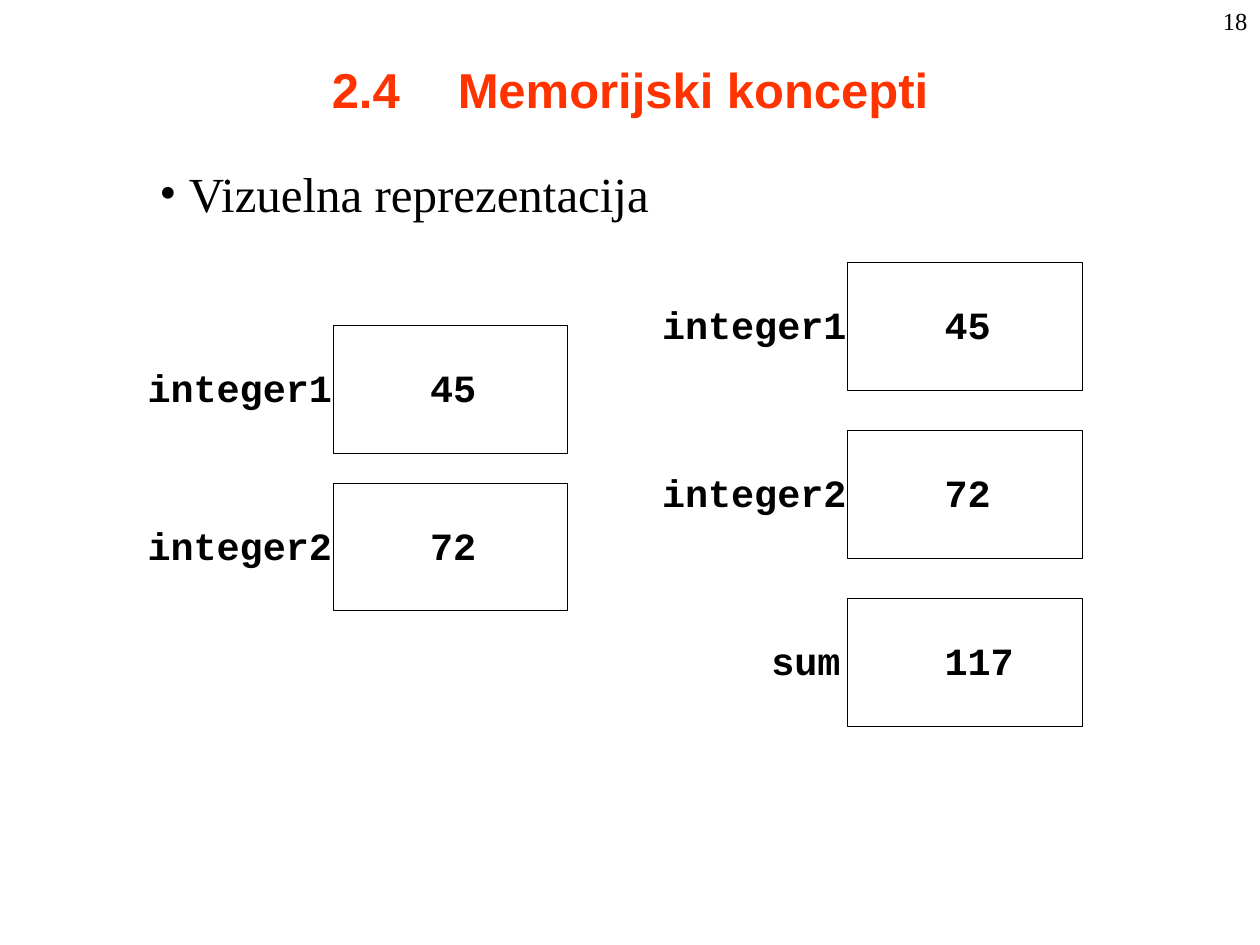
from lxml import etree
from pptx import Presentation
from pptx.dml.color import RGBColor
from pptx.enum.shapes import MSO_SHAPE
from pptx.enum.text import MSO_ANCHOR, MSO_AUTO_SIZE, PP_ALIGN
from pptx.oxml.ns import qn
from pptx.util import Pt

RECTANGLE = MSO_SHAPE.RECTANGLE
TOP, MIDDLE = MSO_ANCHOR.TOP, MSO_ANCHOR.MIDDLE
GROW, FIXED = MSO_AUTO_SIZE.SHAPE_TO_FIT_TEXT, MSO_AUTO_SIZE.NONE
LEFT, CENTER, RIGHT = PP_ALIGN.LEFT, PP_ALIGN.CENTER, PP_ALIGN.RIGHT

BLACK = RGBColor(0x00, 0x00, 0x00)
WHITE = RGBColor(0xFF, 0xFF, 0xFF)
ORANGE_RED = RGBColor(0xFF, 0x33, 0x00)

HEADING_FONT, BODY_FONT, CODE_FONT = "Arial", "Times New Roman", "Courier New"
CELL_WIDTH, CELL_HEIGHT = 134, 73
LABEL_OFFSET, LABEL_WIDTH = 106.2, 106.2
RIGHT_LABEL_GAP = 4.2
VALUE_OFFSET, TEXT_DROP, TEXT_HEIGHT = 55.3, 22, 26.5
DIGIT_WIDTH = 13.3


class MemorySlide:
    def __init__(self, presentation):
        self.slide = presentation.slides.add_slide(presentation.slide_layouts[6])

    def text(self, shapes, text, left, top, width, height, font, size,
             color=BLACK, bold=False, align=LEFT, anchor=TOP, margins=(7.2, 3.6),
             auto_size=FIXED, wrap=True, space_before=0):
        """Add a one-paragraph text box and return its paragraph."""
        box = shapes.add_textbox(Pt(left), Pt(top), Pt(width), Pt(height))
        frame = box.text_frame
        frame.margin_left = frame.margin_right = Pt(margins[0])
        frame.margin_top = frame.margin_bottom = Pt(margins[1])
        frame.word_wrap = wrap
        frame.auto_size = auto_size
        frame.vertical_anchor = anchor
        paragraph = frame.paragraphs[0]
        paragraph.alignment = align
        paragraph.space_before = Pt(space_before)
        run = paragraph.add_run()
        run.text = text
        run.font.name = font
        run.font.size = Pt(size)
        run.font.bold = bold
        run.font.color.rgb = color
        run.font._element.set("kern", "0")
        return paragraph

    def title(self, text):
        paragraph = self.text(self.slide.shapes, text, 54, 6, 612, 90, HEADING_FONT, 28,
                              ORANGE_RED, bold=True, align=CENTER, anchor=MIDDLE)
        tabs = etree.SubElement(paragraph._p.get_or_add_pPr(), qn("a:tabLst"))
        etree.SubElement(tabs, qn("a:tab"), pos=str(Pt(72)), algn="l")

    def bullet(self, text):
        paragraph = self.text(self.slide.shapes, text, 84, 90, 528, 41, BODY_FONT, 28,
                              auto_size=GROW, space_before=7)
        properties = paragraph._p.get_or_add_pPr()
        properties.set("marL", str(Pt(16.8)))
        properties.set("indent", str(-Pt(16.8)))
        color = etree.SubElement(properties, qn("a:buClr"))
        etree.SubElement(color, qn("a:srgbClr"), val=str(BLACK))
        etree.SubElement(properties, qn("a:buFont"), typeface=BODY_FONT)
        etree.SubElement(properties, qn("a:buChar"), char="•")

    def page_number(self, number):
        self.text(self.slide.shapes, number, 570, 0, 150, 36, BODY_FONT, 14, align=RIGHT)

    def code(self, shapes, text, left, top, width, align=LEFT, wrap=False):
        self.text(shapes, text, left, top, width, TEXT_HEIGHT, CODE_FONT, 22, bold=True,
                  align=align, margins=(0, 0), auto_size=GROW, wrap=wrap,
                  space_before=13.8)

    def memory_cell(self, name, value, left, top, label_align=LEFT):
        """Group a box with the variable name beside it and its value inside."""
        shapes = self.slide.shapes.add_group_shape().shapes
        box = shapes.add_shape(RECTANGLE, Pt(left), Pt(top), Pt(CELL_WIDTH), Pt(CELL_HEIGHT))
        box.shadow.inherit = False
        box.fill.solid()
        box.fill.fore_color.rgb = WHITE
        box.line.color.rgb = BLACK
        box.line.width = Pt(0.5)
        text_top = top + TEXT_DROP
        right_aligned = label_align == RIGHT
        label_width = LABEL_WIDTH - RIGHT_LABEL_GAP if right_aligned else LABEL_WIDTH
        self.code(shapes, name, left - LABEL_OFFSET, text_top, label_width,
                  label_align, wrap=right_aligned)
        self.code(shapes, value, left + VALUE_OFFSET, text_top, DIGIT_WIDTH * len(value))


def main():
    presentation = Presentation()
    presentation.slide_width, presentation.slide_height = Pt(720), Pt(540)
    page = MemorySlide(presentation)
    page.title("2.4\tMemorijski koncepti")
    variables = [("integer1", "45", LEFT), ("integer2", "72", LEFT), ("sum", "117", RIGHT)]
    columns = [(190.5, 186, 90, variables[:2]), (484.5, 150, 96, variables)]
    for left, top, pitch, cells in columns:
        for row, (name, value, align) in enumerate(cells):
            page.memory_cell(name, value, left, top + row * pitch, align)
    page.bullet("Vizuelna reprezentacija")
    page.page_number("18")
    presentation.save("out.pptx")


if __name__ == "__main__":
    main()
